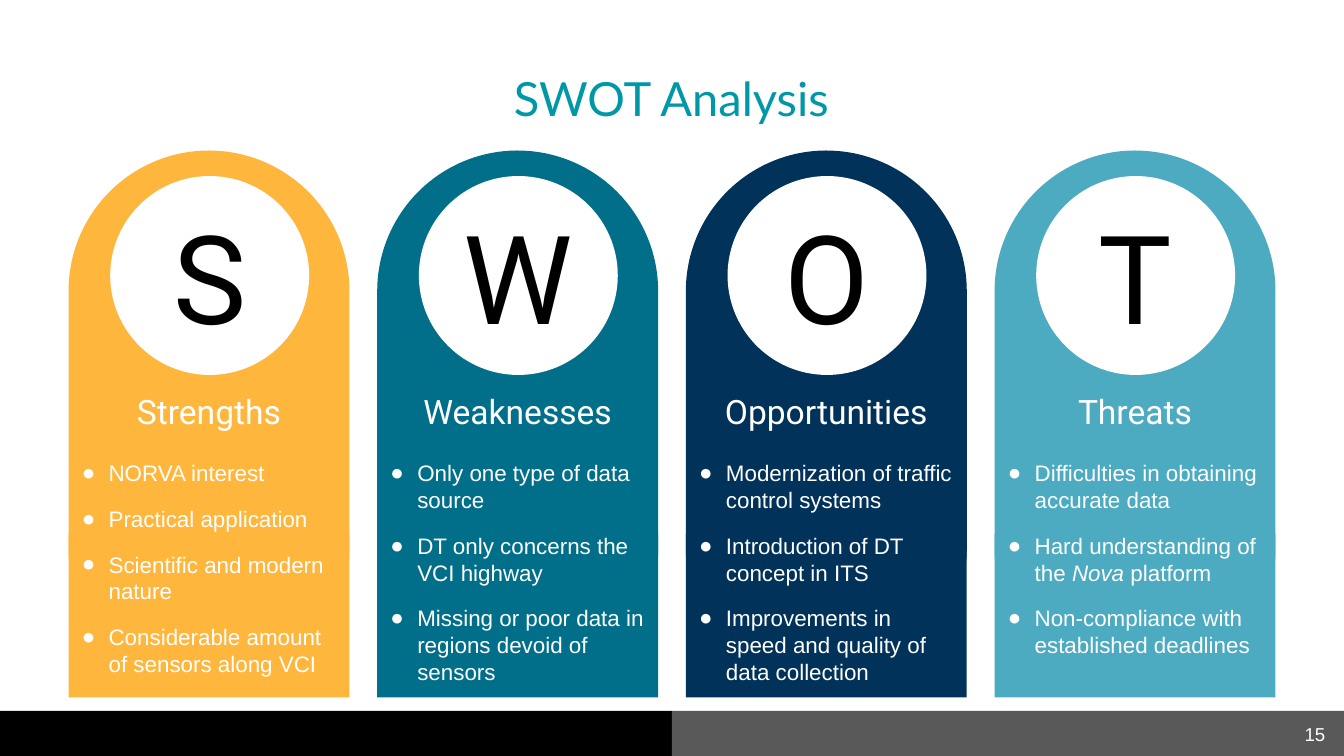
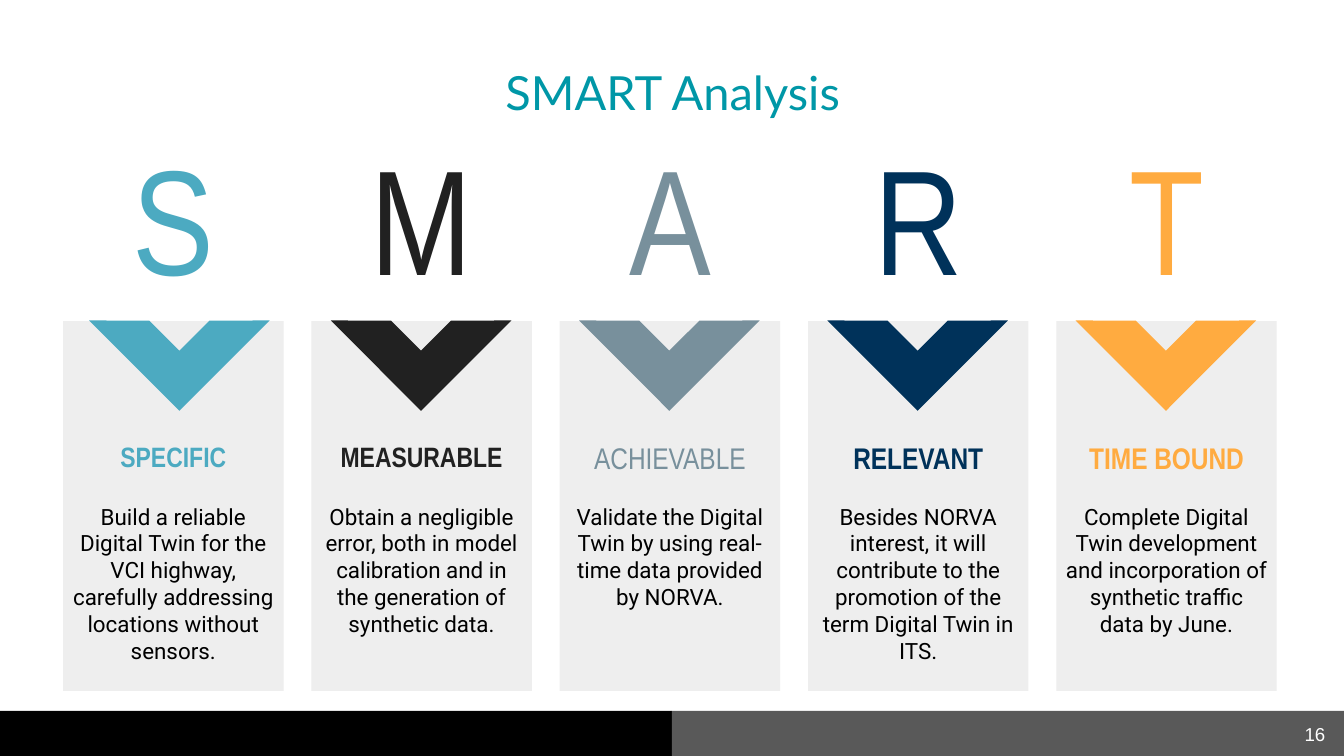
from dataclasses import dataclass

from lxml.etree import SubElement
from pptx import Presentation
from pptx.dml.color import RGBColor
from pptx.enum.shapes import MSO_SHAPE
from pptx.enum.text import MSO_ANCHOR, MSO_AUTO_SIZE, PP_ALIGN
from pptx.oxml.ns import qn
from pptx.util import Inches, Pt


@dataclass(frozen=True)
class Theme:
    """Colours, fonts and type sizes used by every slide."""
    white: str = "FFFFFF"
    black: str = "000000"
    band: str = "595959"
    title: str = "0097A7"
    panel: str = "EEEEEE"
    amber: str = "FFB63D"
    orange: str = "FFAB40"
    teal: str = "016F89"
    navy: str = "00325A"
    sky: str = "4CAAC1"
    charcoal: str = "212121"
    slate: str = "78909C"
    title_font: str = "Lato"
    display_font: str = "Roboto"
    body_font: str = "Arial"
    narrow_font: str = "Arial Narrow"
    title_size: float = 25.2
    heading_size: float = 18
    body_size: float = 12
    number_size: float = 10
    circle_size: float = 66
    letter_size: float = 80


@dataclass(frozen=True)
class Box:
    """A rectangle in inches."""
    left: float
    top: float
    width: float
    height: float

    def inside(self, left, top, width, height):
        """Return a box placed relative to this one."""
        return Box(self.left + left, self.top + top, width, height)

    def lengths(self):
        """Return left, top, width and height as lengths."""
        return [Inches(value) for value in (self.left, self.top, self.width, self.height)]


@dataclass(frozen=True)
class SwotColumn:
    """Content of one SWOT column."""
    letter: str
    heading: str
    color: str
    points: tuple


@dataclass(frozen=True)
class SmartColumn:
    """Content of one SMART column."""
    letter: str
    heading: str
    color: str
    text: str
    size: float = 16
    bold: bool = True
    shift: float = 0


THEME = Theme()

SWOT_COLUMNS = (
    SwotColumn("S", "Strengths", THEME.amber, (
        "NORVA interest",
        "Practical application",
        "Scientific and modern nature",
        "Considerable amount of sensors along VCI")),
    SwotColumn("W", "Weaknesses", THEME.teal, (
        "Only one type of data source",
        "DT only concerns the VCI highway",
        "Missing or poor data in regions devoid of sensors")),
    SwotColumn("O", "Opportunities", THEME.navy, (
        "Modernization of traffic control systems",
        "Introduction of DT concept in ITS",
        "Improvements in speed and quality of data collection")),
    SwotColumn("T", "Threats", THEME.sky, (
        "Difficulties in obtaining accurate data",
        "Hard understanding of the *Nova* platform",
        "Non-compliance with established deadlines")),
)

SMART_COLUMNS = (
    SmartColumn("S", "SPECIFIC", THEME.sky,
                "Build a reliable Digital Twin for the VCI highway, carefully "
                "addressing locations without sensors.", size=15, shift=0.05),
    SmartColumn("M", "MEASURABLE", THEME.charcoal,
                "Obtain a negligible error, both in model calibration and in "
                "the generation of synthetic data.", size=15),
    SmartColumn("A", "ACHIEVABLE", THEME.slate,
                "Validate the Digital Twin by using real-time data provided by NORVA.",
                bold=False),
    SmartColumn("R", "RELEVANT", THEME.navy,
                "Besides NORVA interest, it will contribute to the promotion of "
                "the term Digital Twin in ITS."),
    SmartColumn("T", "TIME BOUND", THEME.orange,
                "Complete Digital Twin development and incorporation of "
                "synthetic traffic data by June."),
)


def set_attributes(target, values):
    """Set every attribute named in a dict of values."""
    for name, value in values.items():
        setattr(target, name, value)


def format_frame(frame, inset=0.1, anchor=MSO_ANCHOR.TOP):
    """Give a text frame wrapping, equal insets and an anchor."""
    sides = ("margin_left", "margin_top", "margin_right", "margin_bottom")
    set_attributes(frame, {
        "word_wrap": True, "auto_size": MSO_AUTO_SIZE.NONE, "vertical_anchor": anchor,
        **dict.fromkeys(sides, Inches(inset))})


def write_paragraph(paragraph, text, font, size, color, bold=False, align=PP_ALIGN.CENTER):
    """Write text in one format, with words between asterisks in italics."""
    paragraph.alignment = align
    for index, part in enumerate(text.split("*")):
        run = paragraph.add_run()
        run.text = part
        set_attributes(run.font, {
            "name": font, "size": Pt(size), "bold": bold, "italic": index % 2 == 1})
        run.font.color.rgb = RGBColor.from_string(color)


def add_label(shapes, box, *text_format, inset=0.1, **options):
    """Add a text box holding one paragraph."""
    frame = shapes.add_textbox(*box.lengths()).text_frame
    format_frame(frame, inset)
    write_paragraph(frame.paragraphs[0], *text_format, **options)


def add_filled(shapes, kind, box, color, adjustments=()):
    """Add a preset shape with a plain fill and no outline."""
    shape = shapes.add_shape(kind, *box.lengths())
    shape.shadow.inherit = False
    shape.fill.solid()
    shape.fill.fore_color.rgb = RGBColor.from_string(color)
    shape.line.fill.background()
    for index, value in enumerate(adjustments):
        shape.adjustments[index] = value
    return shape


def add_bullet(paragraph, color):
    """Put a round bullet and a hanging indent on a paragraph."""
    properties = paragraph._p.get_or_add_pPr()
    properties.set("marL", str(Inches(0.2)))
    properties.set("indent", str(-Inches(0.2)))
    bullet_color = SubElement(properties, qn("a:buClr"))
    SubElement(bullet_color, qn("a:srgbClr"), val=color)
    SubElement(properties, qn("a:buFont"), typeface=THEME.body_font)
    SubElement(properties, qn("a:buChar"), char="●")


def add_bullet_list(shapes, box, points):
    """Add a white bulleted list."""
    frame = shapes.add_textbox(*box.lengths()).text_frame
    format_frame(frame)
    for index, point in enumerate(points):
        paragraph = frame.add_paragraph() if index else frame.paragraphs[0]
        write_paragraph(paragraph, point, THEME.body_font, THEME.body_size,
                        THEME.white, align=PP_ALIGN.LEFT)
        paragraph.space_before = Pt(10 if index else 0)
        add_bullet(paragraph, THEME.white)


def add_bands(slide, box):
    """Place the two footer bands on the layout that the slides share."""
    half = box.width / 2
    for index, color in enumerate((THEME.black, THEME.band)):
        band = add_filled(slide.shapes, MSO_SHAPE.RECTANGLE,
                          box.inside(index * half, 0, half, box.height), color)
        band.element.xpath("./p:nvSpPr/p:cNvPr")[0].set("id", str(101 + index))
        slide.slide_layout.shapes.element.append(band.element)


def add_titled_slide(presentation, title, title_box, number):
    """Add a slide with its title and page number."""
    slide = presentation.slides.add_slide(presentation.slide_layouts.get_by_name("Title Only"))
    placeholder = slide.shapes.title
    names = ("left", "top", "width", "height")
    set_attributes(placeholder, dict(zip(names, title_box.lengths())))
    format_frame(placeholder.text_frame)
    write_paragraph(placeholder.text_frame.paragraphs[0], title, THEME.title_font,
                    THEME.title_size, THEME.title)
    add_label(slide.shapes, Box(9.36, 5.28, 0.6, 0.43), str(number), THEME.body_font,
              THEME.number_size, THEME.white, align=PP_ALIGN.RIGHT)
    return slide


def add_swot_column(slide, box, column):
    """Draw an arched column with its letter, heading and bullets."""
    shapes = slide.shapes.add_group_shape().shapes
    add_filled(shapes, MSO_SHAPE.ROUNDED_RECTANGLE,
               box.inside(0, 0, box.width, 4.01), column.color, (0.5,))
    add_filled(shapes, MSO_SHAPE.RECTANGLE,
               box.inside(0, 2.85, box.width, box.height - 2.85), column.color)
    circle = add_filled(shapes, MSO_SHAPE.OVAL, box.inside(0.31, 0.19, 1.48, 1.48), THEME.white)
    format_frame(circle.text_frame, anchor=MSO_ANCHOR.MIDDLE)
    write_paragraph(circle.text_frame.paragraphs[0], column.letter, THEME.display_font,
                    THEME.circle_size, THEME.black)
    add_label(shapes, box.inside(0, 1.69, box.width, 0.5), column.heading,
              THEME.display_font, THEME.heading_size, THEME.white)
    add_bullet_list(shapes, box.inside(0, 2.2, box.width, 1.9), column.points)


def add_smart_column(slide, box, column):
    """Draw a panel with its letter, chevron, heading and text."""
    shapes = slide.shapes.add_group_shape().shapes
    add_filled(shapes, MSO_SHAPE.RECTANGLE,
               box.inside(0, 1.55, box.width, box.height - 1.55), THEME.panel)
    add_label(shapes, box.inside(0, 0, box.width, 1.94), column.letter,
              THEME.narrow_font, THEME.letter_size, column.color)
    chevron = add_filled(shapes, MSO_SHAPE.HALF_FRAME,
                         box.inside(0.34 + column.shift, 1.07, 0.95, 0.95),
                         column.color, (0.333, 0.333))
    chevron.rotation = 225
    add_label(shapes, box.inside(0, 2.33, box.width, 0.64), column.heading,
              THEME.narrow_font, column.size, column.color, bold=column.bold)
    add_label(shapes, box.inside(0.07, 2.9, 1.5, 1.18), column.text,
              THEME.display_font, THEME.body_size, THEME.black, inset=0)


def add_columns(slide, first_box, last_left, columns, add_column):
    """Spread columns evenly from the first box to the last left edge."""
    pitch = (last_left - first_box.left) / (len(columns) - 1)
    for index, column in enumerate(columns):
        box = first_box.inside(index * pitch, 0, first_box.width, first_box.height)
        add_column(slide, box, column)


def main():
    """Build and save the presentation."""
    presentation = Presentation()
    presentation.slide_width = Inches(10)
    presentation.slide_height = Inches(10 * 9 / 16)
    swot = add_titled_slide(presentation, "SWOT Analysis", Box(0.78, 0.42, 8.43, 0.63), 15)
    add_bands(swot, Box(0, 5.29, 10, 0.34))
    add_columns(swot, Box(0.51, 1.12, 2.09, 4.07), 7.4, SWOT_COLUMNS, add_swot_column)
    smart = add_titled_slide(presentation, "SMART Analysis", Box(0.79, 0.37, 8.43, 0.63), 16)
    add_columns(smart, Box(0.47, 0.84, 1.64, 4.3), 7.86, SMART_COLUMNS, add_smart_column)
    presentation.save("out.pptx")


if __name__ == "__main__":
    main()
